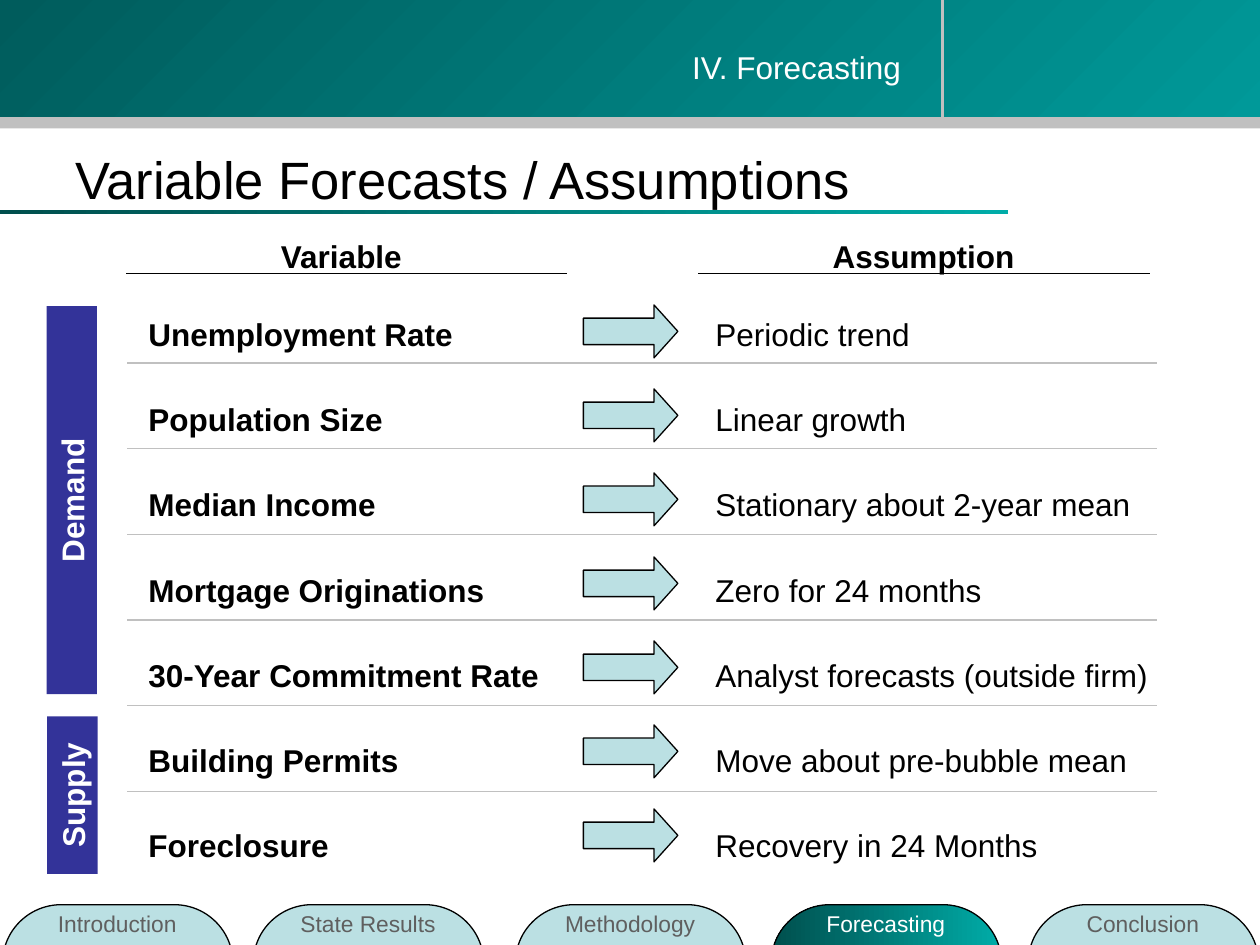
from lxml import etree
from pptx import Presentation
from pptx.dml.color import RGBColor
from pptx.enum.shapes import MSO_CONNECTOR, MSO_SHAPE as SHAPE
from pptx.enum.text import MSO_ANCHOR as ANCHOR, PP_ALIGN as ALIGN
from pptx.oxml.ns import qn
from pptx.util import Inches, Pt

TEAL = ("00ACA8", "004F4D")
PALE = "BBE0E3"
GRAY = "C0C0C0"

ROWS = [
    ("Unemployment Rate", "Periodic trend"),
    ("Population Size", "Linear growth"),
    ("Median Income", "Stationary about 2-year mean"),
    ("Mortgage Originations", "Zero for 24 months"),
    ("30-Year Commitment Rate", "Analyst forecasts (outside firm)"),
    ("Building Permits", "Move about pre-bubble mean"),
    ("Foreclosure", "Recovery in 24 Months"),
]
TABS = [
    ("Introduction", 0.02),
    ("State Results", 2.01),
    ("Methodology", 4.09),
    ("Forecasting", 6.12),
    ("Conclusion", 8.16),
]
CURRENT_TAB = "Forecasting"


def rgb(color):
    return RGBColor.from_string(color)


def write(sp, lines, size=18, color="000000", bold=False, align=ALIGN.LEFT,
          anchor=ANCHOR.TOP, spacing=None):
    tf = sp.text_frame
    tf.word_wrap = True
    tf.vertical_anchor = anchor
    for i, line in enumerate(lines):
        p = tf.add_paragraph() if i else tf.paragraphs[0]
        p.alignment = align
        p.line_spacing = spacing
        r = p.add_run()
        r.text = line
        r.font.name = "Arial"
        r.font.size = Pt(size)
        r.font.bold = bold
        r.font.color.rgb = rgb(color)


def add_text(slide, box, *lines, **style):
    sp = slide.shapes.add_textbox(*map(Inches, box))
    write(sp, lines, **style)
    return sp


def add_shape(slide, kind, box, fill, angle=180, outline=None, adjust=()):
    sp = slide.shapes.add_shape(kind, *map(Inches, box))
    sp.shadow.inherit = False
    for i, value in enumerate(adjust):
        sp.adjustments[i] = value
    if isinstance(fill, tuple):
        sp.fill.gradient()
        sp.fill.gradient_angle = angle
        for stop, color in zip(sp.fill.gradient_stops, fill):
            stop.color.rgb = rgb(color)
    else:
        sp.fill.solid()
        sp.fill.fore_color.rgb = rgb(fill)
    if outline:
        sp.line.color.rgb = rgb(outline)
        sp.line.width = Pt(0.75)
    else:
        sp.line.fill.background()
    return sp


def add_line(slide, x1, y1, x2, y2, color, width=0.75):
    line = slide.shapes.add_connector(
        MSO_CONNECTOR.STRAIGHT, *map(Inches, (x1, y1, x2, y2)))
    line.line.color.rgb = rgb(color)
    line.line.width = Pt(width)
    etree.SubElement(line._element.spPr, qn("a:effectLst"))


def add_banner(slide):
    add_shape(slide, SHAPE.RECTANGLE, (0, 1.67, 8, 0.03), TEAL)
    add_shape(slide, SHAPE.RECTANGLE, (0, 0, 10, 1), ("009999", "005C5C"), angle=135)
    add_shape(slide, SHAPE.RECTANGLE, (0, 0.93, 10, 0.09), GRAY)
    add_line(slide, 7.48, 0, 7.48, 1, GRAY, 2.25)
    add_text(slide, (3.75, 0.33, 3.5, 0.4), "IV. Forecasting",
             color="FFFFFF", align=ALIGN.RIGHT)
    add_text(slide, (0.5, 1, 9, 0.83), "Variable Forecasts / Assumptions",
             size=30, anchor=ANCHOR.MIDDLE)


def add_tab(slide, name, left):
    current = name == CURRENT_TAB
    add_shape(slide, SHAPE.ROUNDED_RECTANGLE, (left, 7.18, 1.83, 1.15),
              TEAL if current else PALE, outline="000000", adjust=[0.405])
    add_text(slide, (left - 0.09, 7.17, 2, 0.32), name, size=13,
             color="FFFFFF" if current else "5F5F5F", align=ALIGN.CENTER)


def add_heading(slide, name, text_left, line_left, line_right):
    add_text(slide, (text_left, 1.83, 2, 0.4), name, bold=True, align=ALIGN.CENTER)
    add_line(slide, line_left, 2.17, line_right, 2.17, "000000")


def add_side_label(slide, name, box):
    sp = add_shape(slide, SHAPE.RECTANGLE, box, "333399")
    sp.rotation = 270
    write(sp, [name], color="FFFFFF", bold=True, align=ALIGN.CENTER,
          anchor=ANCHOR.MIDDLE)


def add_rows(slide):
    variables, assumptions = zip(*ROWS)
    add_text(slide, (1.08, 2.08, 3.67, 4.83), *variables, bold=True, spacing=2.25)
    for i in range(len(ROWS) - 1):
        y = 2.88 + i * 0.68
        add_line(slide, 1.01, y, 9.18, y, GRAY)
    for i in range(len(ROWS)):
        add_shape(slide, SHAPE.RIGHT_ARROW, (4.63, 2.42 + i * 2 / 3, 0.75, 0.42),
                  PALE, outline="000000", adjust=[0.5, 0.45])
    add_text(slide, (5.58, 2.08, 4.08, 4.83), *assumptions, spacing=2.25)


def main():
    prs = Presentation()
    prs.slide_width, prs.slide_height = Inches(10), Inches(7.5)
    slide = prs.slides.add_slide(prs.slide_layouts[6])
    add_banner(slide)
    for name, left in TABS:
        add_tab(slide, name, left)
    add_rows(slide)
    add_side_label(slide, "Demand", (-0.97, 3.77, 3.08, 0.4))
    add_side_label(slide, "Supply", (-0.05, 6.11, 1.25, 0.4))
    add_heading(slide, "Variable", 1.71, 1, 4.5)
    add_heading(slide, "Assumption", 6.33, 5.54, 9.13)
    prs.save("out.pptx")


if __name__ == "__main__":
    main()
